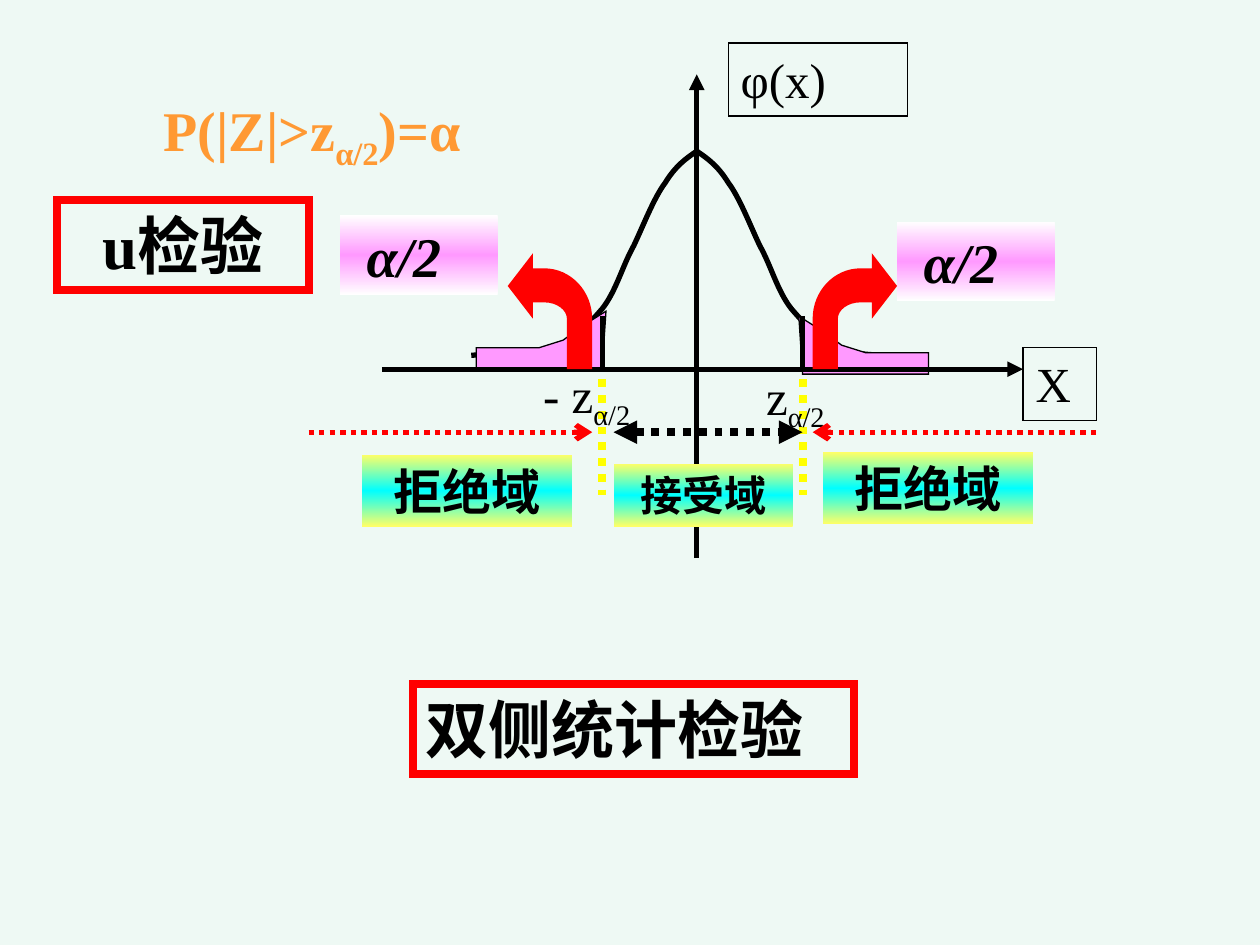
import copy

import pptx
from pptx.dml.color import RGBColor
from pptx.enum.dml import MSO_LINE
from pptx.enum.shapes import MSO_CONNECTOR, MSO_SHAPE
from pptx.enum.text import MSO_ANCHOR, PP_ALIGN
from pptx.oxml.ns import qn
from pptx.util import Inches, Pt

FONT = "Times New Roman"
BACKGROUND = RGBColor(0xEE, 0xF9, 0xF4)
BLACK = RGBColor(0, 0, 0)
WHITE = RGBColor(0xFF, 0xFF, 0xFF)
RED = RGBColor(0xFF, 0, 0)
YELLOW = RGBColor(0xFF, 0xFF, 0)
ORANGE = RGBColor(0xFF, 0x99, 0x33)
PINK = RGBColor(0xFF, 0x99, 0xFF)
PALE_YELLOW = RGBColor(0xFF, 0xFF, 0x66)
CYAN = RGBColor(0, 0xFF, 0xFF)

# Right half of the bell, measured from its peak; every three points after
# the first are one Bézier piece.
BELL = [(0, 0), (0.09, 0.06), (0.17, 0.12), (0.25, 0.25),
        (0.34, 0.37), (0.42, 0.58), (0.5, 0.75),
        (0.59, 0.91), (0.64, 1.11), (0.75, 1.25),
        (0.87, 1.39), (1, 1.52), (1.17, 1.58),
        (1.35, 1.64), (1.66, 1.61), (1.79, 1.62)]
BELL_CURVES = range(1, len(BELL), 3)
# Shaded tail, measured outwards and down from the critical value on the axis.
TAIL = [(-0.03, -0.46), (0, 0), (1, 0), (1, -0.17), (0.75, -0.17), (0.5, -0.17),
        (0.31, -0.23), (0.16, -0.34)]
# Bent arrow from its tip, measured outwards and down from its foot.
ARROW = [(0.67, -0.66), (0.47, -0.92), (0.47, -0.8), (0.38, -0.8),
         (0.17, -0.8), (0, -0.62), (0, -0.4), (0, 0), (0.2, 0), (0.2, -0.4),
         (0.2, -0.47), (0.28, -0.53), (0.38, -0.53), (0.47, -0.53), (0.47, -0.4)]
ARROW_CURVES = (4, 10)


def outline(s, points, x, y, sign, curves=(), fill=None, line=None, width=0.75, close=True):
    """Draw points around (x, y), mirrored when sign is -1.

    Each index in curves starts three points that form one Bézier piece.
    """
    pts = [(Inches(x + sign * px), Inches(y + py)) for px, py in points]
    builder = s.shapes.build_freeform(*pts[0])
    builder.add_line_segments(pts[1:], close=close)
    sp = builder.convert_to_shape()
    segments = list(sp._element.iter(qn("a:lnTo")))
    for i in curves:
        piece = segments[i - 1:i + 2]
        curve = piece[0].makeelement(qn("a:cubicBezTo"), {})
        piece[0].addprevious(curve)
        for segment in piece:
            curve.append(segment[0])
            segment.getparent().remove(segment)
    paint(sp, fill, line, width)


def paint(sp, fill=None, line=None, width=0.75):
    """A pair of colours as fill gives an edge-centre-edge gradient."""
    sp.shadow.inherit = False
    if fill is None:
        sp.fill.background()
    elif isinstance(fill, RGBColor):
        sp.fill.solid()
        sp.fill.fore_color.rgb = fill
    else:
        sp.fill.gradient()
        sp.fill.gradient_angle = 90
        stops = sp._element.spPr.find(qn("a:gradFill")).find(qn("a:gsLst"))
        stops.insert(1, copy.deepcopy(stops[0]))
        edge, centre = fill
        for stop, pos, color in zip(sp.fill.gradient_stops, (0, 0.5, 1), (edge, centre, edge)):
            stop.position = pos
            stop.color.rgb = color
    if line is None:
        sp.line.fill.background()
    else:
        sp.line.color.rgb = line
        sp.line.width = Pt(width)
        ln = sp.line._get_or_add_ln()
        ln.append(ln.makeelement(qn("a:miter"), {"lim": "800000"}))


def label(s, box, text, size, sub="", after="", align=PP_ALIGN.LEFT, inset=0.1,
          fill=None, line=None, width=0.75, **font):
    """A rectangle with one line of text, which may hold a subscript."""
    if fill or line:
        sp = s.shapes.add_shape(MSO_SHAPE.RECTANGLE, *map(Inches, box))
        paint(sp, fill, line, width)
    else:
        sp = s.shapes.add_textbox(*map(Inches, box))
    tf = sp.text_frame
    frame = {"word_wrap": True, "vertical_anchor": MSO_ANCHOR.TOP, "margin_left": Inches(inset)}
    for name, value in frame.items():
        setattr(tf, name, value)
    p = tf.paragraphs[0]
    p.alignment = align
    color = font.pop("color", BLACK)
    for content, base in ((text, None), (sub, "-25000"), (after, None)):
        if not content:
            continue
        r = p.add_run()
        r.text = content
        for name, value in {"name": FONT, "size": Pt(size), **font}.items():
            setattr(r.font, name, value)
        r.font.color.rgb = color
        if base:
            r._r.get_or_add_rPr().set("baseline", base)


def line(s, start, end, color, width, dotted=False, head=None, tail=None):
    c = s.shapes.add_connector(MSO_CONNECTOR.STRAIGHT, *map(Inches, (*start, *end)))
    c.line.color.rgb = color
    c.line.width = Pt(width)
    if dotted:
        c.line.dash_style = MSO_LINE.ROUND_DOT
    ln = c.line._get_or_add_ln()
    for tag, kind in (("a:headEnd", head), ("a:tailEnd", tail)):
        if kind:
            ln.append(ln.makeelement(qn(tag), {"type": kind}))
    c._element.spPr.append(c._element.makeelement(qn("a:effectLst"), {}))


def axes(s, x, y):
    """Axes crossing at (x, y), with their names."""
    line(s, (x - 2.5, y), (x + 2.59, y), BLACK, 3, tail="triangle")
    line(s, (x, y + 1.5), (x, y - 2.34), BLACK, 3, tail="triangle")
    label(s, (x + 2.59, y - 0.17, 0.58, 0.58), "X", 28, line=BLACK)
    label(s, (x + 0.25, y - 2.59, 1.42, 0.58), "φ(x)", 28, line=BLACK)


def critical_lines(s, x, y):
    line(s, (x, y + 0.08), (x, y + 1), YELLOW, 4.5, dotted=True)
    line(s, (x, y - 0.42), (x, y), BLACK, 3)


def rejection_side(s, x, y, sign, alpha_box, region_box):
    """Marks outside the critical value at (x, y); boxes are offsets from it."""
    label(s, (x + alpha_box[0], y + alpha_box[1], 1.25, 0.63), "α/2", 32, inset=0.21,
          fill=(WHITE, PINK), bold=True, italic=True)
    label(s, (x + region_box[0], y + region_box[1], 1.67, 0.57), "拒绝域", 28,
          align=PP_ALIGN.CENTER, fill=(PALE_YELLOW, CYAN), bold=True)
    line(s, (x + sign * 2.33, y + 0.5), (x + sign * 0.08, y + 0.5), RED, 3,
         dotted=True, tail="arrow")
    outline(s, ARROW, x + sign * 0.08, y, sign, ARROW_CURVES, fill=RED)


def test_diagram(s, x, y):
    """Two-sided test around the axis crossing at (x, y)."""
    low, high = x - 0.75, x + 0.84
    for sign in (-1, 1):
        outline(s, BELL, x, y - 1.73, sign, BELL_CURVES, line=BLACK, width=3, close=False)
    outline(s, TAIL, high, y + 0.04, 1, fill=PINK, line=BLACK)
    outline(s, TAIL, low, y, -1, fill=PINK, line=BLACK)
    axes(s, x, y)
    for critical in (low, high):
        critical_lines(s, critical, y)
    line(s, (low + 0.09, y + 0.5), (high, y + 0.5), BLACK, 4.5, dotted=True,
         head="triangle", tail="triangle")
    label(s, (low + 0.09, y + 0.75, 1.42, 0.5), "接受域", 24, align=PP_ALIGN.CENTER,
          fill=(PALE_YELLOW, CYAN), bold=True)
    label(s, (x + 0.25, y - 0.07, 1.42, 0.57), "z", 28, sub="α/2", inset=0.3)
    label(s, (x - 1.41, y - 0.09, 1.42, 0.57), "- z", 28, sub="α/2", inset=0.19)
    rejection_side(s, low, y, -1, (-2.08, -1.22), (-1.91, 0.68))
    rejection_side(s, high, y, 1, (0.75, -1.17), (0.16, 0.66))


def headings(s):
    label(s, (1.2, 0.71, 3.33, 0.63), "P(|Z|>z", 32, sub="α/2", after=")=α",
          color=ORANGE, bold=True)
    framed = {"line": RED, "width": 4.5, "bold": True}
    label(s, (3.28, 5.43, 3.5, 0.71), "双侧统计检验", 36, **framed)
    label(s, (0.45, 1.59, 2, 0.71), "u检验", 36, align=PP_ALIGN.CENTER, **framed)


def main():
    prs = pptx.Presentation()
    prs.slide_width, prs.slide_height = Inches(10), Inches(7.5)
    s = prs.slides.add_slide(prs.slide_layouts[6])
    s.background.fill.solid()
    s.background.fill.fore_color.rgb = BACKGROUND
    test_diagram(s, 5.53, 2.93)
    headings(s)
    prs.save("out.pptx")


if __name__ == "__main__":
    main()
